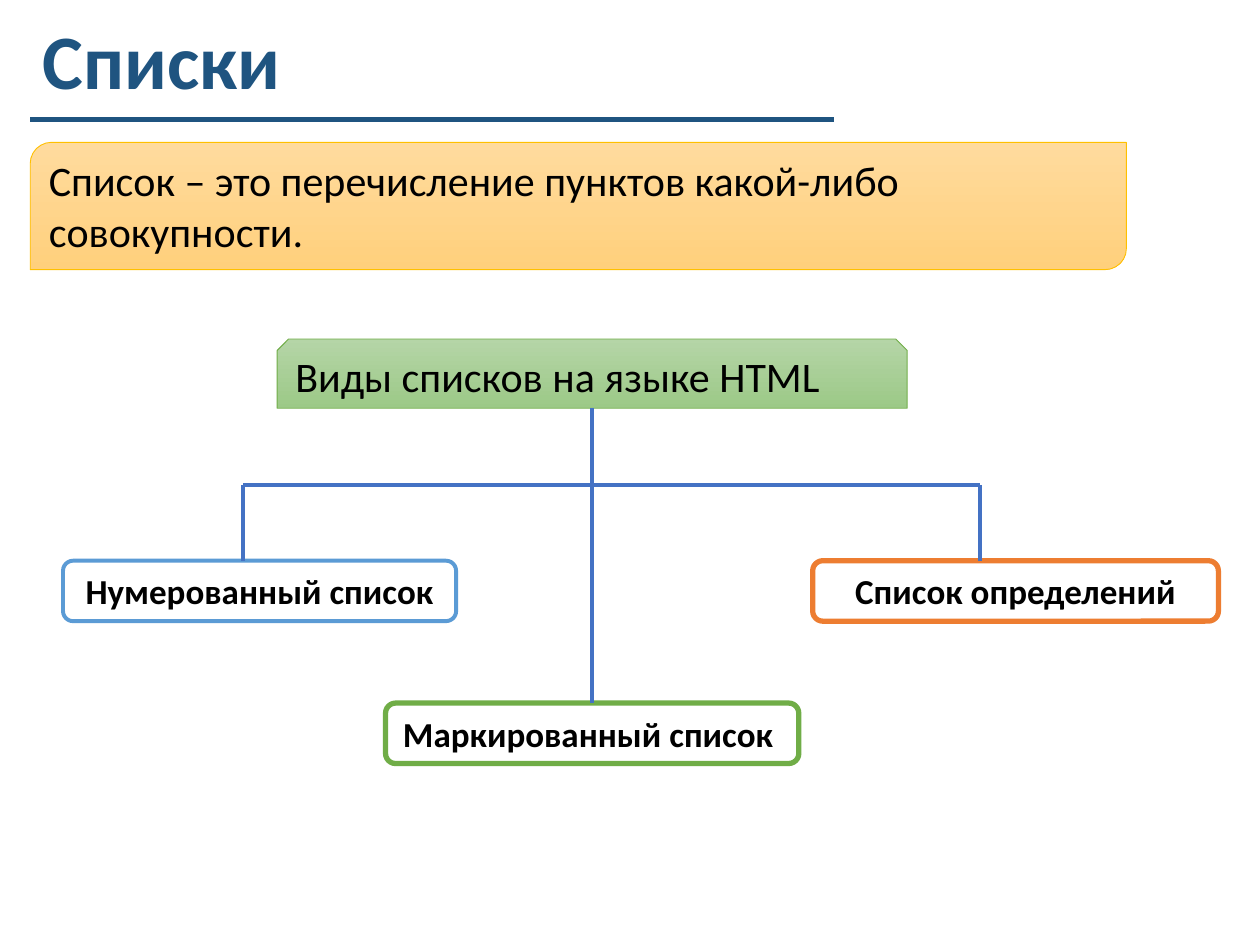
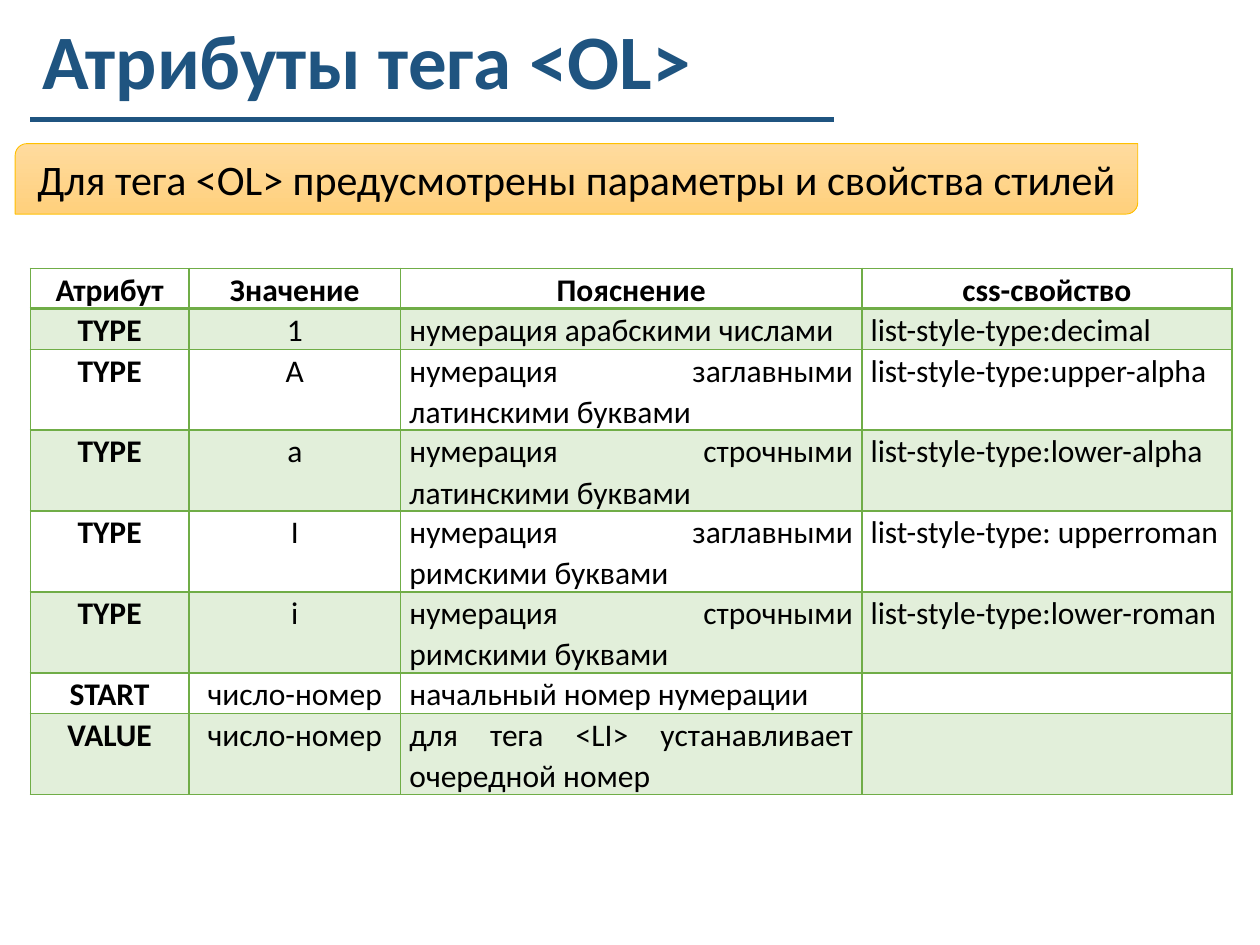
"""Builds two slides about HTML lists: the kinds of list and the attributes of the OL tag."""
from lxml import etree
from pptx import Presentation
from pptx import util as u
from pptx.dml import color
from pptx.enum import shapes, text
from pptx.oxml import ns

COLORS = {
    "navy": "1F5480", "black": "000000", "white": "FFFFFF",
    "gold": "FFC000", "gold_top": "FFDB9E", "gold_bottom": "FFD07C",
    "green": "70AD47", "green_top": "B5D5A7", "green_bottom": "9CC987",
    "green_pale": "E2EFDA", "sky": "5B9BD5", "orange": "ED7D31", "blue": "4472C4",
}
FONT = "Calibri"
KIND = shapes.MSO_SHAPE
CENTER, LEFT, JUSTIFY = text.PP_ALIGN.CENTER, text.PP_ALIGN.LEFT, text.PP_ALIGN.JUSTIFY
TOP, MIDDLE = text.MSO_ANCHOR.TOP, text.MSO_ANCHOR.MIDDLE


def rgb(name):
    return color.RGBColor.from_string(COLORS[name])


def assign(target, values):
    for key, value in values.items():
        setattr(target, key, value)


class Deck:
    """Holds the shared style and the slide being built."""

    def __init__(self):
        self.show = Presentation()
        assign(self.show, {"slide_width": u.Inches(10), "slide_height": u.Inches(7.5)})
        self.slide = None

    def new_slide(self, title):
        self.slide = self.show.slides.add_slide(self.show.slide_layouts[6])
        heading = self.slide.shapes.add_textbox(*map(u.Inches, (0.24, 0, 7.54, 1.03)))
        self.put_words(heading.text_frame, title, 44, bold=True, spacing=0.9, anchor=MIDDLE)
        self.line((0.24, 0.95), (6.62, 0.95), "navy", 3)

    def put_words(self, frame, words, size, ink="navy", bold=False, align=LEFT, spacing=1.0, anchor=TOP):
        assign(frame, {"word_wrap": True, "vertical_anchor": anchor})
        paragraph = frame.paragraphs[0]
        assign(paragraph, {"alignment": align, "line_spacing": spacing})
        run = paragraph.add_run()
        run.text = words
        assign(run.font, {"name": FONT, "size": u.Pt(size), "bold": bold})
        run.font.color.rgb = rgb(ink)

    def line(self, start, end, ink="blue", width=2.25):
        connector = self.slide.shapes.add_connector(
            shapes.MSO_CONNECTOR.STRAIGHT, *map(u.Inches, start + end))
        connector.line.color.rgb = rgb(ink)
        connector.line.width = u.Pt(width)
        etree.SubElement(connector.element.spPr, ns.qn("a:effectLst"))
        return connector

    def box(self, kind, place, words, outline, width, size, gradient=None, **style):
        shape = self.slide.shapes.add_shape(kind, *map(u.Inches, place))
        shape.shadow.inherit = False
        shape.line.color.rgb = rgb(outline)
        shape.line.width = u.Pt(width)
        if gradient:
            shape.fill.gradient()
            shape.fill.gradient_angle = 270
            for stop, name in zip(shape.fill.gradient_stops, gradient):
                stop.color.rgb = rgb(name)
        else:
            shape.fill.solid()
            shape.fill.fore_color.rgb = rgb("white")
        self.put_words(shape.text_frame, words, size, "black", **style)
        return shape

    def banner(self, place, words, align=LEFT):
        self.box(KIND.ROUND_2_DIAG_RECTANGLE, place, words, "gold", 0.5, 24,
                 ("gold_top", "gold_bottom"), align=align)

    def list_kind(self, place, words, outline, width=3):
        return self.box(KIND.ROUNDED_RECTANGLE, place, words, outline, width, 20,
                        bold=True, align=CENTER)

    def border(self, cell, widths):
        properties = cell._tc.get_or_add_tcPr()
        for side, width in widths.items():
            edge = etree.SubElement(properties, ns.qn(f"a:ln{side}"), w=str(u.Pt(width)))
            fill = etree.SubElement(edge, ns.qn("a:solidFill"))
            etree.SubElement(fill, ns.qn("a:srgbClr"), val=COLORS["green"])

    def table(self, left, top, widths, heights, rows):
        frame = self.slide.shapes.add_table(
            len(rows), len(widths), *map(u.Inches, (left, top, sum(widths), sum(heights))))
        grid = frame.table
        assign(grid, {"first_row": False, "horz_banding": False})
        for column, width in zip(grid.columns, widths):
            column.width = u.Inches(width)
        margins = {"margin_left": u.Inches(0.07), "margin_right": u.Inches(0.07),
                   "margin_top": 0, "margin_bottom": 0}
        for r, (row, height) in enumerate(zip(rows, heights)):
            grid.rows[r].height = u.Inches(height)
            for c, words in enumerate(row):
                cell = grid.cell(r, c)
                assign(cell, margins)
                self.border(cell, {"L": 1, "R": 1, "T": 2 if r == 1 else 1, "B": 2 if r == 0 else 1})
                cell.fill.solid()
                cell.fill.fore_color.rgb = rgb("green_pale" if r % 2 else "white")
                if words:
                    self.put_words(cell.text_frame, words, 18, "black", bold=r == 0 or c == 0,
                                   align=CENTER if r == 0 or c < 2 else JUSTIFY, spacing=1.07)


def list_kinds(deck):
    deck.new_slide("Списки")
    deck.banner((0.24, 1.13, 8.7, 1.01), "Список – это перечисление пунктов какой-либо совокупности.")
    deck.box(KIND.SNIP_2_SAME_RECTANGLE, (2.2, 2.69, 5, 0.55), "Виды списков на языке HTML",
             "green", 0.5, 24, ("green_top", "green_bottom"))
    deck.list_kind((0.5, 4.45, 3.12, 0.48), "Нумерованный список", "sky", 2.25)
    bulleted = deck.list_kind((3.06, 5.58, 3.28, 0.48), "Маркированный список ", "green")
    deck.list_kind((6.45, 4.45, 3.22, 0.48), "Список определений", "orange")
    numbered_x, definitions_x, fork_y = 1.93, 7.78, 3.85
    deck.line((numbered_x, fork_y), (definitions_x, fork_y))
    for branch_x in (numbered_x, definitions_x):
        deck.line((branch_x, fork_y), (branch_x, 4.45))
    trunk = deck.line((4.7, 3.24), (4.7, 5.58))
    trunk.end_connect(bulleted, 0)


def ol_attributes(deck):
    deck.new_slide("Атрибуты тега <OL>")
    deck.banner((0.12, 1.14, 8.91, 0.56), "Для тега <OL> предусмотрены параметры и свойства стилей", CENTER)
    one, two = 0.32, 0.64
    deck.table(0.24, 2.13, (1.26, 1.68, 3.66, 2.94), (one, one, two, two, two, two, one, two), [
        ("Атрибут", "Значение", "Пояснение", "css-свойство"),
        ("TYPE", "1", "нумерация арабскими числами", "list-style-type:decimal"),
        ("TYPE", "A", "нумерация заглавными латинскими буквами", "list-style-type:upper-alpha"),
        ("TYPE", "a", "нумерация строчными латинскими буквами", "list-style-type:lower-alpha"),
        ("TYPE", "I", "нумерация заглавными римскими буквами", "list-style-type: upperroman"),
        ("TYPE", "i", "нумерация строчными римскими буквами", "list-style-type:lower-roman"),
        ("START", "число-номер", "начальный номер нумерации", ""),
        ("VALUE", "число-номер", "для тега <LI> устанавливает очередной номер", ""),
    ])


def main():
    deck = Deck()
    list_kinds(deck)
    ol_attributes(deck)
    deck.show.save("out.pptx")


if __name__ == "__main__":
    main()
